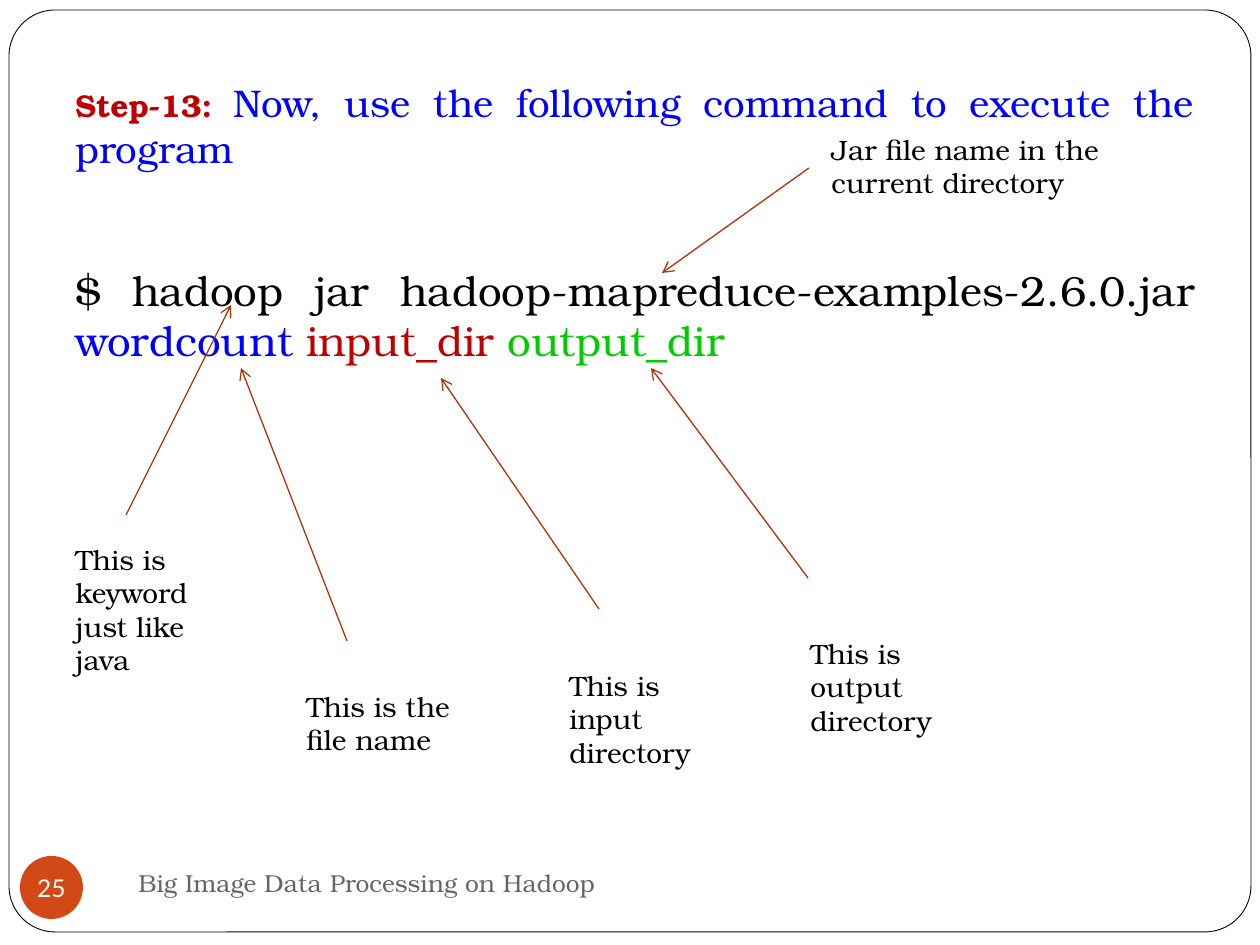
from pptx import Presentation
from pptx.dml.color import RGBColor
from pptx.enum.shapes import MSO_CONNECTOR, MSO_SHAPE
from pptx.enum.text import MSO_ANCHOR, MSO_AUTO_SIZE, PP_ALIGN
from pptx.oxml.ns import qn
from pptx.util import Pt
from lxml import etree

SCALE = 914400 / 126
ROUNDED, ELLIPSE = MSO_SHAPE.ROUNDED_RECTANGLE, MSO_SHAPE.OVAL
STRAIGHT = MSO_CONNECTOR.STRAIGHT
TOP, MIDDLE = MSO_ANCHOR.TOP, MSO_ANCHOR.MIDDLE
LEFT, CENTER, JUSTIFY = PP_ALIGN.LEFT, PP_ALIGN.CENTER, PP_ALIGN.JUSTIFY
GROW, FIXED = MSO_AUTO_SIZE.SHAPE_TO_FIT_TEXT, MSO_AUTO_SIZE.NONE

SERIF, SANS = "TeX Gyre Bonum", "Lato"
BLACK = RGBColor(0x00, 0x00, 0x00)
WHITE = RGBColor(0xFF, 0xFF, 0xFF)
GRAY = RGBColor(0x69, 0x64, 0x64)
ORANGE = RGBColor(0xD3, 0x48, 0x17)
RUST = RGBColor(0xAF, 0x34, 0x08)
RED = RGBColor(0xC0, 0x00, 0x00)
BLUE = RGBColor(0x00, 0x00, 0xFF)
GREEN = RGBColor(0x00, 0xCC, 0x00)

ANNOTATIONS = [
    ("This is keyword just like java", (63, 536, 189, 147), (126, 515), (231, 305)),
    ("This is the file name", (294, 683, 189, 81), (347, 641), (241, 368)),
    ("This is input directory", (557, 662, 189, 113), (599, 609), (441, 378)),
    ("This is output directory", (798, 630, 189, 113), (808, 578), (651, 368)),
    ("Jar file name in the current directory", (819, 126, 357, 81), (809, 168), (662, 273)),
]


def px(*lengths):
    """Turn pixel lengths into EMU."""
    return [round(length * SCALE) for length in lengths]


def add_run(paragraph, text, size=16, color=BLACK, font=SERIF, bold=False):
    """Append formatted text to a paragraph."""
    run = paragraph.add_run()
    run.text = text
    run.font.size = Pt(size)
    run.font.name = font
    run.font.bold = bold
    run.font.color.rgb = color


def add_text(slide, box, *paragraphs, align=LEFT, anchor=TOP, fit=GROW, gap=0):
    """Add a text box whose paragraphs are lists of (text, format) runs."""
    frame = slide.shapes.add_textbox(*px(*box)).text_frame
    frame.word_wrap = True
    frame.auto_size = fit
    frame.vertical_anchor = anchor
    for index, runs in enumerate(paragraphs):
        paragraph = frame.add_paragraph() if index else frame.paragraphs[0]
        paragraph.alignment = align
        if index:
            paragraph.space_before = Pt(gap)
        for text, style in runs:
            add_run(paragraph, text, **style)


def add_border(slide):
    """Add the thin rounded outline around the slide."""
    border = slide.shapes.add_shape(ROUNDED, *px(9, 10, 1242, 922))
    border.adjustments[0] = 0.05
    border.shadow.inherit = False
    border.fill.background()
    border.line.color.rgb = BLACK
    border.line.width = Pt(0.5)


def add_page_badge(slide, number):
    """Add the round page number."""
    badge = slide.shapes.add_shape(ELLIPSE, *px(20, 856, 63, 63))
    badge.shadow.inherit = False
    badge.fill.solid()
    badge.fill.fore_color.rgb = ORANGE
    badge.line.fill.background()
    frame = badge.text_frame
    frame.margin_left = frame.margin_right = frame.margin_top = frame.margin_bottom = 0
    frame.word_wrap = False
    frame.vertical_anchor = MIDDLE
    frame.paragraphs[0].alignment = CENTER
    add_run(frame.paragraphs[0], number, size=14, color=WHITE, font=SANS)


def add_arrow(slide, start, end):
    """Add a thin line with an open arrowhead at its end."""
    arrow = slide.shapes.add_connector(STRAIGHT, *px(*start, *end))
    arrow.line.color.rgb = RUST
    arrow.line.width = Pt(0.75)
    etree.SubElement(arrow.line._get_or_add_ln(), qn("a:tailEnd"), type="arrow")
    etree.SubElement(arrow._element.spPr, qn("a:effectLst"))


def main():
    """Build the slide and save it."""
    deck = Presentation()
    deck.slide_width, deck.slide_height = px(1260, 945)
    slide = deck.slides.add_slide(deck.slide_layouts[6])

    add_border(slide)
    footer = [("Big Image Data Processing on Hadoop", dict(size=14, color=GRAY))]
    add_text(slide, (126, 851, 546, 63), footer, anchor=MIDDLE, fit=FIXED)
    add_page_badge(slide, "25")

    step = [
        ("Step-13: ", dict(size=18, color=RED, bold=True)),
        ("Now, use the following command to execute the program ", dict(size=22, color=BLUE)),
    ]
    command = [
        ("$ hadoop jar hadoop-mapreduce-examples-2.6.0.jar ", dict(size=24)),
        ("wordcount ", dict(size=24, color=BLUE)),
        ("input_dir ", dict(size=24, color=RED)),
        ("output_dir", dict(size=24, color=GREEN)),
    ]
    add_text(slide, (63, 73, 1144, 299), step, command, align=JUSTIFY, gap=53)

    for note, box, start, end in ANNOTATIONS:
        add_arrow(slide, start, end)
        add_text(slide, box, [(note, {})])

    deck.save("out.pptx")


if __name__ == "__main__":
    main()
